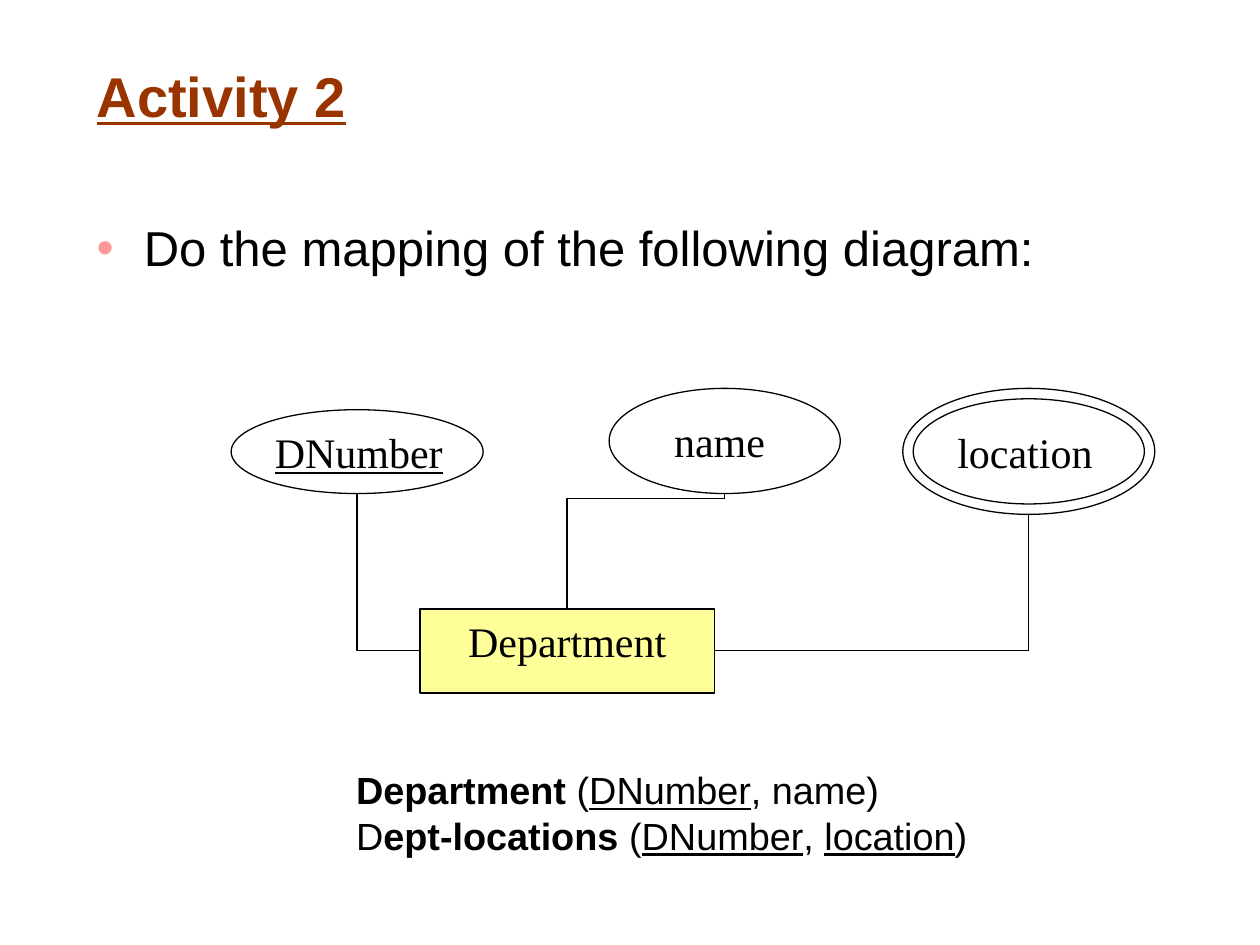
from lxml import etree
from pptx import Presentation
from pptx.dml.color import RGBColor
from pptx.enum.shapes import MSO_CONNECTOR, MSO_SHAPE
from pptx.enum.text import MSO_ANCHOR, PP_ALIGN
from pptx.oxml.ns import qn
from pptx.util import Cm, Pt

RECTANGLE, ELLIPSE = MSO_SHAPE.RECTANGLE, MSO_SHAPE.OVAL
ELBOW = MSO_CONNECTOR.ELBOW
TOP, MIDDLE = MSO_ANCHOR.TOP, MSO_ANCHOR.MIDDLE
LEFT, CENTER, JUSTIFY = PP_ALIGN.LEFT, PP_ALIGN.CENTER, PP_ALIGN.JUSTIFY

COLORS = {"title": "993300", "ink": "000000", "bullet": "FF9999", "entity": "FFFF99"}
HEADING_FONT, DIAGRAM_FONT = "Arial", "Times New Roman"


def color(name):
    return RGBColor.from_string(COLORS[name])


def add_span(para, text, size=24, font=DIAGRAM_FONT, ink="ink", bold=False, underline=False):
    """Append formatted text to a paragraph."""
    span = para.add_run()
    span.text = text
    span.font.size = Pt(size)
    span.font.name = font
    span.font.color.rgb = color(ink)
    span.font.bold = bold
    span.font.underline = underline


class DiagramPage:
    """Holds the line style and the slide being drawn."""

    def __init__(self, page, line_width=0.75):
        self.page = page
        self.line_width = Pt(line_width)

    def text(self, place, lines, align=LEFT, anchor=TOP, wrap=True, **style):
        """Each line is a list of (text, format) pairs."""
        box = self.page.shapes.add_textbox(*map(Cm, place))
        frame = box.text_frame
        frame.word_wrap = wrap
        frame.vertical_anchor = anchor
        for index, line in enumerate(lines):
            para = frame.add_paragraph() if index else frame.paragraphs[0]
            para.alignment = align
            for words, extra in line:
                add_span(para, words, **{**style, **extra})
        return box

    def bullet(self, place, words, **style):
        box = self.text(place, [[(words, {})]], align=JUSTIFY, **style)
        properties = box.text_frame.paragraphs[0]._p.get_or_add_pPr()
        properties.set("marL", str(Cm(0.95)))
        properties.set("indent", str(Cm(-0.95)))
        tint = etree.SubElement(properties, qn("a:buClr"))
        etree.SubElement(tint, qn("a:srgbClr")).set("val", COLORS["bullet"])
        etree.SubElement(properties, qn("a:buFont")).set("typeface", HEADING_FONT)
        etree.SubElement(properties, qn("a:buChar")).set("char", "•")

    def shape(self, kind, place, fill=None):
        shape = self.page.shapes.add_shape(kind, *map(Cm, place))
        shape.shadow.inherit = False
        if fill:
            shape.fill.solid()
            shape.fill.fore_color.rgb = color(fill)
        else:
            shape.fill.background()
        shape.line.color.rgb = color("ink")
        shape.line.width = self.line_width
        return shape

    def entity(self, place, name):
        frame = self.shape(RECTANGLE, place, fill="entity").text_frame
        frame.vertical_anchor = TOP
        frame.paragraphs[0].alignment = CENTER
        add_span(frame.paragraphs[0], name)

    def attribute(self, place, name, label_place, inset=None, **style):
        """An ellipse with its label; an inset makes it multivalued."""
        self.shape(ELLIPSE, place)
        if inset:
            left, top, width, height = place
            self.shape(ELLIPSE, (left + inset, top + inset, width - 2 * inset, height - 2 * inset))
        self.text(label_place, [[(name, style)]], wrap=False)

    def elbow(self, start, end, adjust=None):
        """A link that leaves downwards; adjust places the middle leg, if any."""
        (x1, y1), (x2, y2) = start, end
        run, rise = abs(x2 - x1), abs(y2 - y1)
        left, top = (x1 + x2 - rise) / 2, (y1 + y2 - run) / 2
        link = self.page.shapes.add_connector(
            ELBOW, Cm(left), Cm(top), Cm(left + rise), Cm(top + run))
        link.line.color.rgb = color("ink")
        link.line.width = self.line_width
        properties = link._element.spPr
        etree.SubElement(properties, qn("a:effectLst"))
        # Turn the route so that its first leg is vertical
        frame = properties.find(qn("a:xfrm"))
        frame.set("rot", str((270 if x2 > x1 else 90) * 60000))
        if x2 > x1:
            frame.set("flipH", "1")
        geometry = properties.find(qn("a:prstGeom"))
        if adjust is None:
            geometry.set("prst", "bentConnector2")
        else:
            guide = etree.SubElement(geometry.find(qn("a:avLst")), qn("a:gd"))
            guide.set("name", "adj1")
            guide.set("fmla", f"val {round(adjust * 100000)}")


def main():
    deck = Presentation()
    deck.slide_width, deck.slide_height = Cm(25.4), Cm(19.05)
    diagram = DiagramPage(deck.slides.add_slide(deck.slide_layouts[6]))

    # Heading and task
    diagram.text((1.7, 0.46, 23.06, 2.92), [[("Activity 2", {})]], anchor=MIDDLE,
                 size=32, font=HEADING_FONT, ink="title", bold=True, underline=True)
    diagram.bullet((1.7, 4.27, 23.06, 12.88), "Do the mapping of the following diagram:",
                   size=28, font=HEADING_FONT)

    # Entity and its attributes
    diagram.entity((8.47, 12.28, 5.93, 1.69), "Department")
    diagram.attribute((4.66, 8.26, 5.08, 1.69), "DNumber", (5.29, 8.47, 3.94, 1.27),
                      underline=True)
    diagram.attribute((12.28, 7.83, 4.66, 2.12), "name", (13.34, 8.26, 2.36, 1.27))
    diagram.attribute((18.2, 7.83, 5.08, 2.54), "location", (19.05, 8.47, 3.25, 1.27),
                      inset=0.21)

    # Links from each attribute to the entity
    diagram.elbow((7.2, 9.95), (8.47, 13.12))
    diagram.elbow((14.61, 9.95), (11.43, 12.28), adjust=0.045)
    diagram.elbow((20.74, 10.37), (14.4, 13.12))

    # Resulting relations
    bold, key = {"bold": True}, {"underline": True}
    diagram.text((6.93, 15.34, 16.74, 2.11), [
        [("Department", bold), (" (", {}), ("DNumber", key), (", name)", {})],
        [("D", {}), ("ept-locations", bold), (" (", {}), ("DNumber", key), (", ", {}),
         ("location", key), (")", {})],
    ], size=21.6, font=HEADING_FONT)

    deck.save("out.pptx")


if __name__ == "__main__":
    main()
